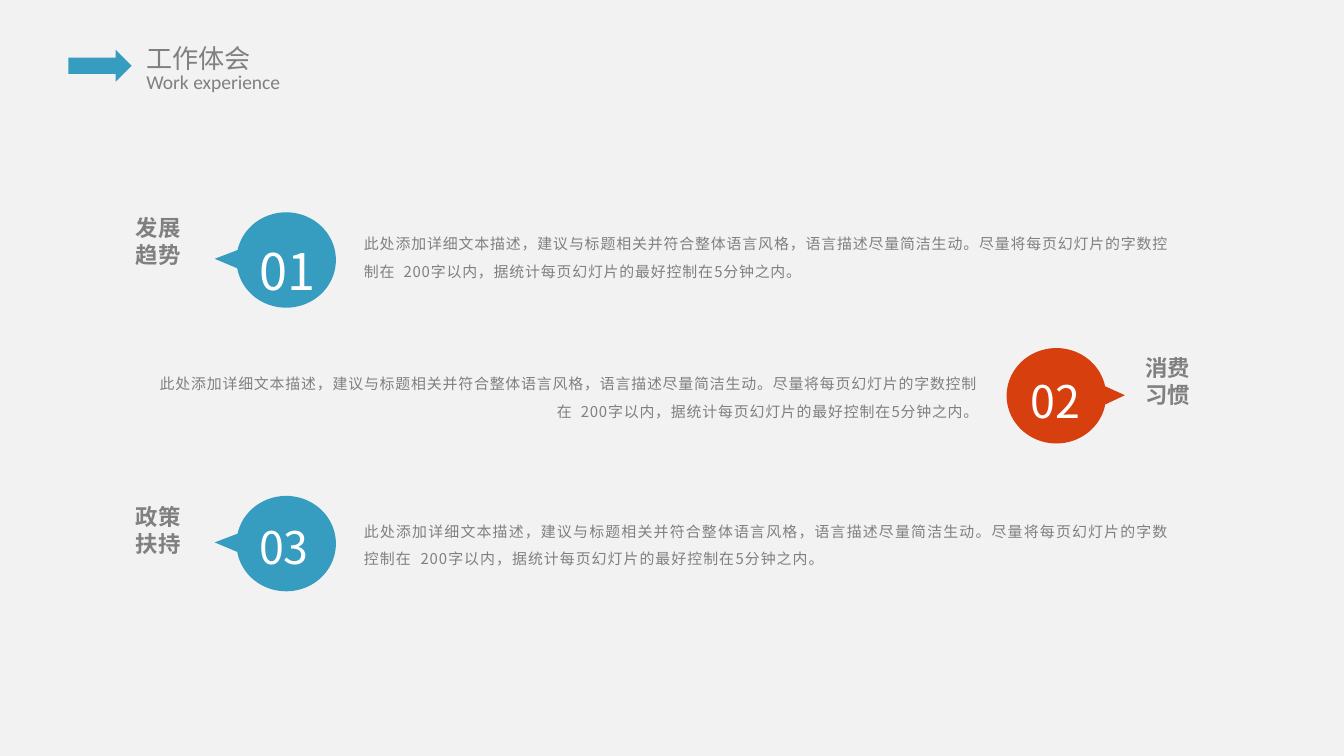
from dataclasses import dataclass

from lxml.etree import SubElement
from pptx import Presentation
from pptx.dml.color import RGBColor
from pptx.enum.shapes import MSO_SHAPE
from pptx.enum.text import MSO_ANCHOR, MSO_AUTO_SIZE, PP_ALIGN
from pptx.oxml.ns import qn
from pptx.util import Inches, Pt


@dataclass(frozen=True)
class Theme:
    background: str = "F2F2F2"
    gray: str = "808080"
    white: str = "FFFFFF"
    blue: str = "369CC0"
    orange: str = "D73F0F"
    cjk: str = "Noto Sans CJK SC"
    latin: str = "Calibri"
    title: float = 14
    subtitle: float = 10.5
    label: float = 12
    body: float = 8
    line: float = 1.22  # height of a single line, in ems


@dataclass(frozen=True)
class Box:
    left: float
    top: float
    width: float
    height: float

    def emu(self):
        return [Inches(v) for v in (self.left, self.top, self.width, self.height)]


@dataclass(frozen=True)
class Side:
    """Column positions for a callout pointing to one side."""
    label: float
    callout: float
    number: float
    body: float
    body_width: float
    tail: tuple[float, float]
    color: str
    align: PP_ALIGN


@dataclass(frozen=True)
class Topic:
    number: str
    label: str
    side: Side
    top: float
    number_top: float
    body_top: float
    label_top: float
    number_size: float = 24
    tracking: float = 0.4


THEME = Theme()
LEFT = Side(0.94, 1.76, 1.83, 2.61, 6.19, (-0.719, -0.013), THEME.blue, PP_ALIGN.JUSTIFY)
RIGHT = Side(8.45, 7.49, 7.57, 1.05, 6.33, (0.689, -0.006), THEME.orange, PP_ALIGN.RIGHT)
DESCRIPTION = (
    "此处添加详细文本描述，建议与标题相关并符合整体语言风格，语言描述尽量简洁生动。"
    "尽量将每页幻灯片的字数控制在  200字以内，据统计每页幻灯片的最好控制在5分钟之内。"
)
TOPICS = [
    Topic("01", "发展\n趋势", LEFT, 1.58, 1.5, 1.63, 1.55, number_size=27),
    Topic("02", "消费\n习惯", RIGHT, 2.59, 2.52, 2.67, 2.59),
    Topic("03", "政策\n扶持", LEFT, 3.69, 3.61, 3.77, 3.7, tracking=0.5),
]


def write(sp, text: str, size: float, *, color: str = THEME.gray, font: str = THEME.cjk,
          bold: bool = False, align: PP_ALIGN = PP_ALIGN.LEFT, spacing: float = 1,
          tracking: float = 0, inset: tuple[float, float] = (0.1, 0.05)) -> None:
    tf = sp.text_frame
    tf.word_wrap = True
    tf.auto_size = MSO_AUTO_SIZE.NONE
    tf.vertical_anchor = MSO_ANCHOR.TOP
    tf.margin_left = tf.margin_right = Inches(inset[0])
    tf.margin_top = tf.margin_bottom = Inches(inset[1])
    tf.text = text
    for p in tf.paragraphs:
        p.alignment = align
        p.line_spacing = Pt(size * THEME.line * spacing)
        for r in p.runs:
            r.font.size = Pt(size)
            r.font.bold = bold
            r.font.name = font
            r.font.color.rgb = RGBColor.from_string(color)
            rpr = r.font._element
            SubElement(rpr, qn("a:ea")).set("typeface", font)
            if tracking:
                rpr.set("spc", str(round(tracking * 100)))


def add_text(slide, box: Box, text: str, size: float, **style) -> None:
    write(slide.shapes.add_textbox(*box.emu()), text, size, **style)


def add_shape(slide, kind: MSO_SHAPE, box: Box, color: str):
    sp = slide.shapes.add_shape(kind, *box.emu())
    sp.shadow.inherit = False
    sp.fill.solid()
    sp.fill.fore_color.rgb = RGBColor.from_string(color)
    sp.line.fill.background()
    return sp


def add_header(slide) -> None:
    title = slide.shapes.title
    title.left, title.top, title.width, title.height = Box(0.98, 0.26, 1.25, 0.34).emu()
    write(title, "工作体会", THEME.title, inset=(0.11, 0.05))
    add_text(slide, Box(0.98, 0.47, 1.25, 0.28), "Work experience", THEME.subtitle,
             font=THEME.latin, inset=(0.11, 0.05))
    add_shape(slide, MSO_SHAPE.RIGHT_ARROW, Box(0.51, 0.37, 0.47, 0.24), THEME.blue)


def add_topic(slide, topic: Topic) -> None:
    side = topic.side
    callout = add_shape(slide, MSO_SHAPE.OVAL_CALLOUT,
                        Box(side.callout, topic.top, 0.74, 0.71), side.color)
    callout.adjustments[0], callout.adjustments[1] = side.tail
    add_text(slide, Box(side.number, topic.number_top, 0.67, 0.78), topic.number,
             topic.number_size, color=THEME.white, spacing=1.5)
    add_text(slide, Box(side.body, topic.body_top, side.body_width, 0.5), DESCRIPTION,
             THEME.body, align=side.align, spacing=1.5, tracking=topic.tracking)
    add_text(slide, Box(side.label, topic.label_top, 0.49, 0.48), topic.label,
             THEME.label, bold=True, inset=(0.07, 0.04))


def main() -> None:
    prs = Presentation()
    prs.slide_width = Inches(10)
    prs.slide_height = prs.slide_width * 9 // 16
    slide = prs.slides.add_slide(prs.slide_layouts.get_by_name("Title Only"))
    slide.background.fill.solid()
    slide.background.fill.fore_color.rgb = RGBColor.from_string(THEME.background)
    add_header(slide)
    for topic in TOPICS:
        add_topic(slide, topic)
    prs.save("out.pptx")


if __name__ == "__main__":
    main()
